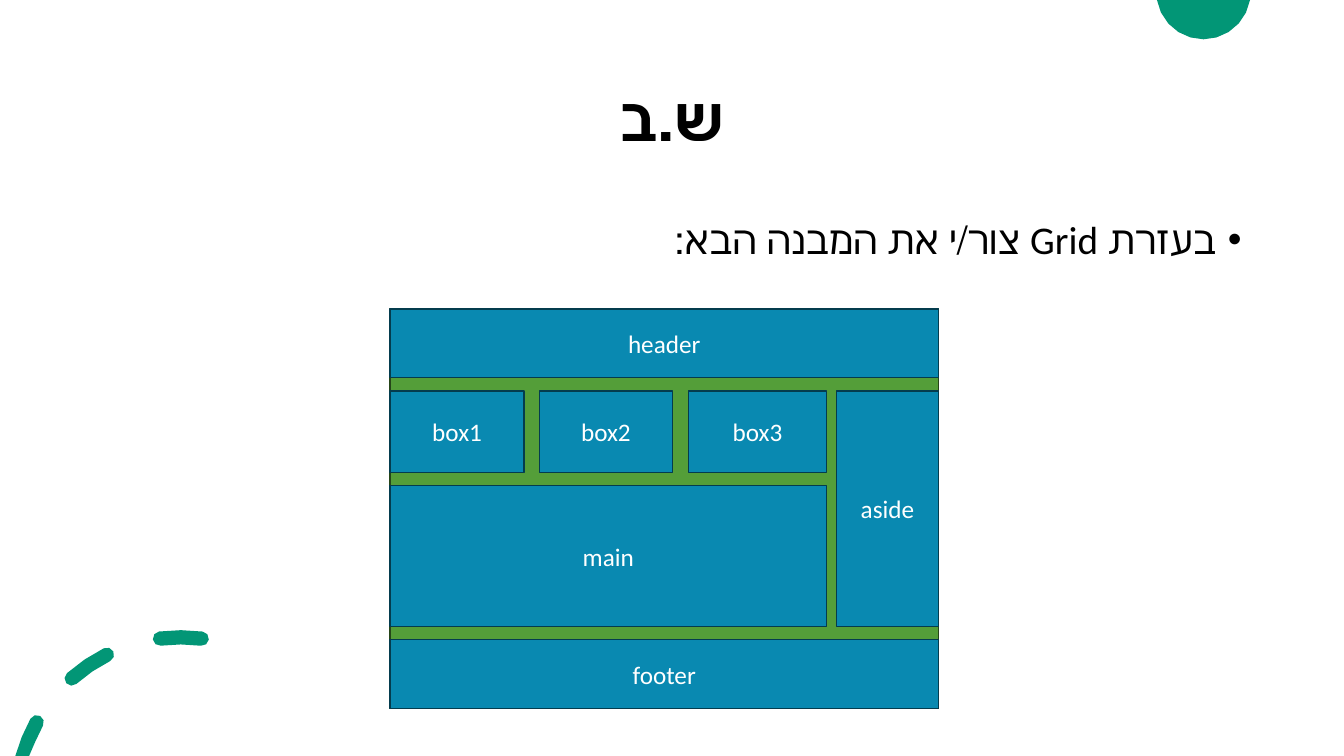
from math import cos, radians, sin
from pptx import Presentation
from pptx.dml.color import RGBColor
from pptx.enum.shapes import MSO_SHAPE
from pptx.enum.text import MSO_ANCHOR, MSO_AUTO_SIZE, PP_ALIGN
from pptx.util import Cm, Pt

BLACK = RGBColor(0x00, 0x00, 0x00)
WHITE = RGBColor(0xFF, 0xFF, 0xFF)
TEAL = RGBColor(0x02, 0x96, 0x76)
GREEN = RGBColor(0x54, 0x9E, 0x39)
DARK_GREEN = RGBColor(0x25, 0x45, 0x19)
BLUE = RGBColor(0x09, 0x89, 0xB1)
DARK_BLUE = RGBColor(0x04, 0x3C, 0x4E)

SLIDE_W, SLIDE_H = 33.87, 19.05


def set_font(p, name, size, color, bold=False):
    f = p.font
    f.name, f.size, f.bold = name, Pt(size), bold
    f.color.rgb = color


def arc(cx, cy, radius, start, end, steps):
    angles = [radians(start + (end - start) * i / steps) for i in range(steps + 1)]
    return [(cx + radius * cos(a), cy - radius * sin(a)) for a in angles]


def dash(cx, cy, radius, half, start, end):
    (x0, y0), (x1, y1) = arc(cx, cy, radius, start, end, 1)
    points = (arc(x1, y1, half, end, end + 180, 4)
              + arc(cx, cy, radius - half, end, start, 2)[1:-1]
              + arc(x0, y0, half, start + 180, start + 360, 4)
              + arc(cx, cy, radius + half, start, end, 2)[1:-1])
    return [(x, min(y, SLIDE_H)) for x, y in points]


def add_outline(s, contours):
    contours = [[(Cm(x), Cm(y)) for x, y in c] for c in contours]
    fb = s.shapes.build_freeform(*contours[0][0], scale=1.0)
    fb.add_line_segments(contours[0][1:])
    for c in contours[1:]:
        fb.move_to(*c[0])
        fb.add_line_segments(c[1:])
    sp = fb.convert_to_shape()
    sp.shadow.inherit = False
    sp.fill.solid()
    sp.fill.fore_color.rgb = TEAL
    sp.line.fill.background()


def add_decoration(s):
    add_outline(s, [arc(30.33, -0.2, 1.19, 189.7, 350.3, 10)])
    spans = [(82.6, 97.2), (116.6, 131.5), (151.1, 164.5)]
    add_outline(s, [dash(4.55, 20.2, 4.14, 0.18, a, b) for a, b in spans])


def place(sp, left, top, width, height):
    sp.left, sp.top, sp.width, sp.height = Cm(left), Cm(top), Cm(width), Cm(height)


def add_title(s, left, top, width, height):
    sp = s.shapes.title
    place(sp, left, top, width, height)
    tf = sp.text_frame
    tf.text = "ש.ב"
    tf.vertical_anchor = MSO_ANCHOR.MIDDLE
    tf.auto_size = MSO_AUTO_SIZE.NONE
    p = tf.paragraphs[0]
    p.alignment = PP_ALIGN.CENTER
    p.line_spacing = 1.1
    set_font(p, "Arial", 44, BLACK, True)


def add_task(s, left, top, width, height):
    sp = s.placeholders[1]
    place(sp, left, top, width, height)
    tf = sp.text_frame
    tf.text = "בעזרת Grid צור/י את המבנה הבא:"
    tf.auto_size = MSO_AUTO_SIZE.NONE
    p = tf.paragraphs[0]
    p.alignment = PP_ALIGN.RIGHT
    p.line_spacing = 1.18
    p.space_before = Pt(10)
    set_font(p, "Calibri", 28, BLACK)
    pPr = p._p.get_or_add_pPr()
    pPr.set("rtl", "1")
    pPr.set("marL", str(Cm(0.64)))
    pPr.set("indent", str(-Cm(0.64)))


def add_box(s, left, top, width, height, fill, line):
    sp = s.shapes.add_shape(MSO_SHAPE.RECTANGLE, Cm(left), Cm(top), Cm(width), Cm(height))
    sp.shadow.inherit = False
    sp.fill.solid()
    sp.fill.fore_color.rgb = fill
    sp.line.color.rgb = line
    sp.line.width = Pt(1)
    return sp


def add_area(s, name, left, top, width, height):
    tf = add_box(s, left, top, width, height, BLUE, DARK_BLUE).text_frame
    tf.text = name
    tf.vertical_anchor = MSO_ANCHOR.MIDDLE
    p = tf.paragraphs[0]
    p.alignment = PP_ALIGN.CENTER
    set_font(p, "Calibri", 18, WHITE)
    p._p.get_or_add_pPr().set("rtl", "1")


def add_layout(s, left, top, width, height):
    row_gap, bar_h, box_h = 0.33, 1.73, 2.06
    main_w, aside_w, box_step = 11, 2.57, 3.76
    boxes_top = top + bar_h + row_gap
    main_top = boxes_top + box_h + row_gap
    footer_top = top + height - bar_h
    middle_bottom = footer_top - row_gap

    add_box(s, left, top, width, height, GREEN, DARK_GREEN)
    add_area(s, "header", left, top, width, bar_h)
    add_area(s, "footer", left, footer_top, width, bar_h)
    add_area(s, "aside", left + width - aside_w, boxes_top, aside_w, middle_bottom - boxes_top)
    add_area(s, "main", left, main_top, main_w, middle_bottom - main_top)
    for i, box_w in enumerate((3.38, 3.36, 3.48)):
        add_area(s, f"box{i + 1}", left + i * box_step, boxes_top, box_w, box_h)


def main():
    prs = Presentation()
    prs.slide_width, prs.slide_height = Cm(SLIDE_W), Cm(SLIDE_H)
    s = prs.slides.add_slide(prs.slide_layouts[1])
    add_decoration(s)
    add_title(s, 2.33, 1.01, 29.21, 3.68)
    add_task(s, 2.33, 5.08, 29.21, 10.72)
    add_layout(s, 9.83, 7.79, 13.82, 10.06)
    prs.save("out.pptx")


if __name__ == "__main__":
    main()
